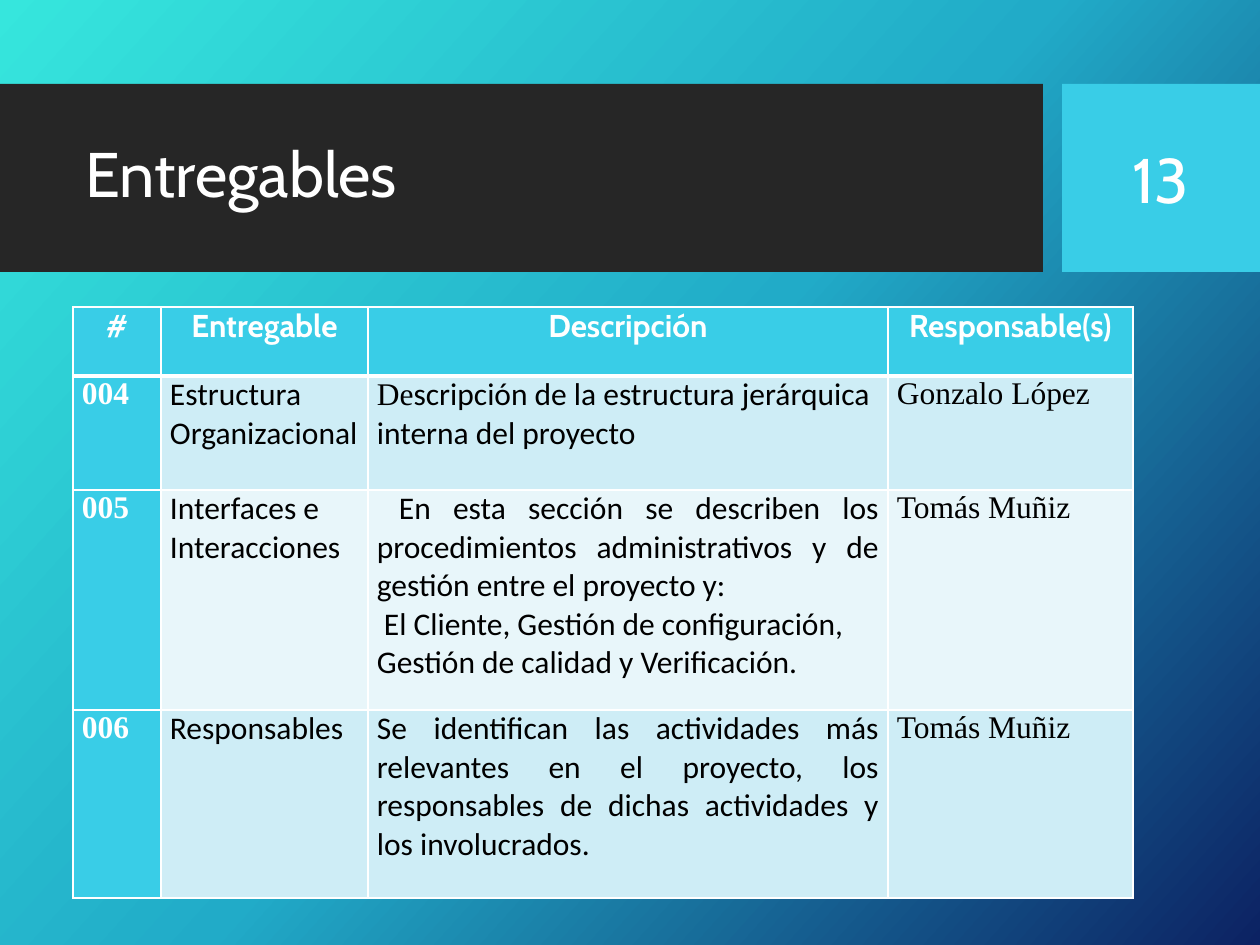
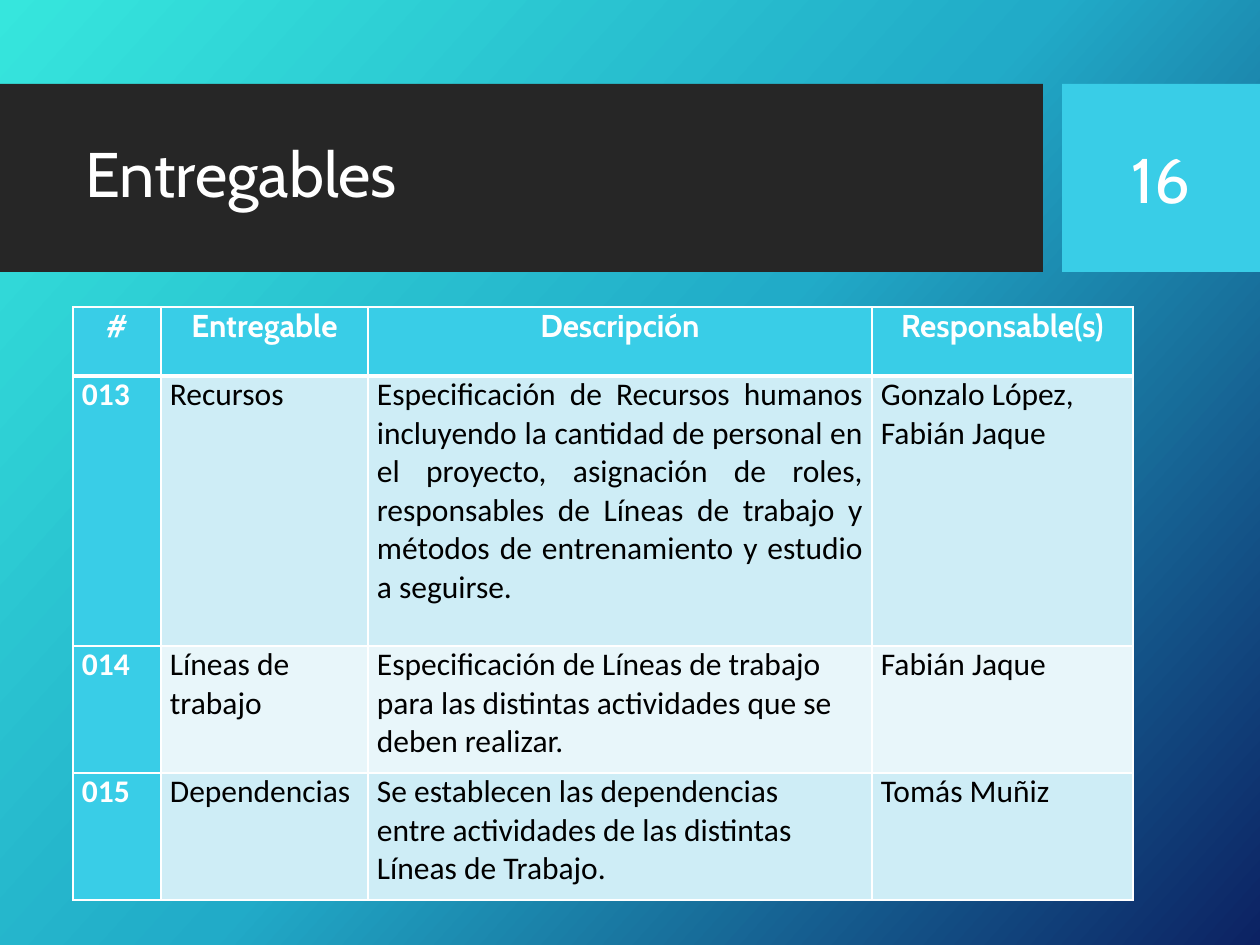
from copy import deepcopy
from dataclasses import dataclass

from lxml import etree
from pptx import Presentation
from pptx.dml.color import RGBColor
from pptx.enum.shapes import MSO_SHAPE
from pptx.enum.text import MSO_ANCHOR, PP_ALIGN
from pptx.oxml.ns import qn
from pptx.util import Emu, Pt

RECTANGLE = MSO_SHAPE.RECTANGLE
MIDDLE = MSO_ANCHOR.MIDDLE
LEFT, CENTER, JUSTIFY = PP_ALIGN.LEFT, PP_ALIGN.CENTER, PP_ALIGN.JUSTIFY

# Shared look
EMU_PER_PX = 914400 / 126
COLORS = {
    "white": "FFFFFF", "black": "000000", "band": "262626", "accent": "39CDE7",
    "odd_row": "CEEDF6", "even_row": "E8F6FA",
}
BACKGROUND_STOPS = ((0, "36E6DD"), (0.5, "21ABC8"), (1, "0C2263"))
BACKGROUND_ANGLE = 42
HEADING_FONT, BODY_FONT, SERIF_FONT = "Cabin", "Calibri", "Times New Roman"
HEADING_SIZE, TABLE_SIZE = 36, 18
TITLE = "Entregables"
HEADERS = ("#", "Entregable", "Descripción", "Responsable(s)")
CELL_INSET = 9


@dataclass(frozen=True)
class Box:
    left: int
    top: int
    width: int
    height: int

    def emu(self) -> tuple[Emu, ...]:
        return tuple(px(n) for n in (self.left, self.top, self.width, self.height))


@dataclass(frozen=True)
class Line:
    text: str
    align: PP_ALIGN = LEFT
    indent: int = 0
    serif_lead: str = ""


@dataclass(frozen=True)
class Deliverable:
    code: str
    name: str
    description: tuple[Line, ...]
    owner: str
    height: int
    right_inset: int = CELL_INSET


@dataclass(frozen=True)
class DeliverableSlide:
    number: str
    columns: tuple[int, ...]
    code_font: str
    owner_font: str
    deliverables: tuple[Deliverable, ...]


TITLE_BAND = Box(0, 84, 1043, 188)
NUMBER_BAND = Box(1062, 84, 198, 188)
TITLE_BOX = Box(73, 103, 950, 149)
NUMBER_BOX = Box(1081, 103, 160, 150)
TABLE_LEFT, TABLE_TOP, HEADER_HEIGHT = 73, 307, 69

# Contents
SLIDES = (
    DeliverableSlide("13", (88, 207, 520, 245), SERIF_FONT, SERIF_FONT, (
        Deliverable("004", "Estructura Organizacional", (
            Line("scripción de la estructura jerárquica interna del proyecto", serif_lead="De"),
        ), "Gonzalo López", 114),
        Deliverable("005", "Interfaces e Interacciones", (
            Line("En esta sección se describen los procedimientos administrativos y de "
                 "gestión entre el proyecto y:", JUSTIFY, 22),
            Line("El Cliente, Gestión de configuración, Gestión de calidad y Verificación.",
                 indent=7),
        ), "Tomás Muñiz", 220),
        Deliverable("006", "Responsables", (
            Line("Se identifican las actividades más relevantes en el proyecto, los "
                 "responsables de dichas actividades y los involucrados.", JUSTIFY),
        ), "Tomás Muñiz", 188),
    )),
    DeliverableSlide("16", (88, 207, 504, 261), BODY_FONT, BODY_FONT, (
        Deliverable("013", "Recursos", (
            Line("Especificación de Recursos humanos incluyendo la cantidad de personal en el "
                 "proyecto, asignación de roles, responsables de Líneas de trabajo y métodos "
                 "de entrenamiento y estudio a seguirse.", JUSTIFY),
        ), "Gonzalo López, Fabián Jaque", 270),
        Deliverable("014", "Líneas de trabajo", (
            Line("Especificación de Líneas de trabajo para las distintas actividades que se "
                 "deben realizar."),
        ), "Fabián Jaque", 127),
        Deliverable("015", "Dependencias", (
            Line("Se establecen las dependencias entre actividades de las distintas Líneas "
                 "de Trabajo."),
        ), "Tomás Muñiz", 127, right_inset=45),
    )),
)


def px(length: int) -> Emu:
    return Emu(round(length * EMU_PER_PX))


def color(name: str) -> RGBColor:
    return RGBColor.from_string(COLORS[name])


def style_font(font, name: str, size: int, color_name: str, bold: bool = False) -> None:
    font.name, font.size, font.bold = name, Pt(size), bold
    font.color.rgb = color(color_name)


# Frame shared by the slides
def paint_background(slide) -> None:
    fill = slide.background.fill
    fill.gradient()
    fill.gradient_angle = 360 - BACKGROUND_ANGLE
    stop_list = next(slide.background._cSld.iter(qn("a:gsLst")))
    stop_list.append(deepcopy(stop_list[-1]))
    for stop, (position, value) in zip(fill.gradient_stops, BACKGROUND_STOPS):
        stop.position = position
        stop.color.rgb = RGBColor.from_string(value)


def add_band(slide, box: Box, color_name: str) -> None:
    band = slide.shapes.add_shape(RECTANGLE, *box.emu())
    band.shadow.inherit = False
    band.fill.solid()
    band.fill.fore_color.rgb = color(color_name)
    band.line.fill.background()


def write_heading(shape, text: str, align: PP_ALIGN) -> None:
    frame = shape.text_frame
    frame.word_wrap = True
    frame.vertical_anchor = MIDDLE
    paragraph = frame.paragraphs[0]
    paragraph.text = text
    paragraph.alignment = align
    style_font(paragraph.font, HEADING_FONT, HEADING_SIZE, "white")


def add_frame(slide, number: str) -> None:
    paint_background(slide)
    add_band(slide, TITLE_BAND, "band")
    add_band(slide, NUMBER_BAND, "accent")
    title = slide.shapes.title
    title.left, title.top, title.width, title.height = TITLE_BOX.emu()
    write_heading(title, TITLE, LEFT)
    title.text_frame.paragraphs[0].line_spacing = 0.9
    write_heading(slide.shapes.add_textbox(*NUMBER_BOX.emu()), number, CENTER)


# Table
def set_borders(cell, top: int, bottom: int) -> None:
    properties = cell._tc.get_or_add_tcPr()
    for side, width in (("L", 1), ("R", 1), ("T", top), ("B", bottom)):
        border = etree.SubElement(properties, qn(f"a:ln{side}"), w=str(Pt(width)))
        fill = etree.SubElement(border, qn("a:solidFill"))
        etree.SubElement(fill, qn("a:srgbClr"), val=COLORS["white"])


def fill_cell(cell, lines: tuple[Line, ...], font_name: str, text_color: str, fill_color: str,
              bold: bool = False, right_inset: int = CELL_INSET) -> None:
    cell.margin_left, cell.margin_right = px(CELL_INSET), px(right_inset)
    cell.margin_top = cell.margin_bottom = 0
    cell.fill.solid()
    cell.fill.fore_color.rgb = color(fill_color)
    frame = cell.text_frame
    for index, line in enumerate(lines):
        paragraph = frame.add_paragraph() if index else frame.paragraphs[0]
        paragraph.alignment = line.align
        if line.indent:
            paragraph._p.get_or_add_pPr().set("indent", str(px(line.indent)))
        style_font(paragraph.font, font_name, TABLE_SIZE, text_color, bold)
        for text, run_font in ((line.serif_lead, SERIF_FONT), (line.text, font_name)):
            if text:
                run = paragraph.add_run()
                run.text = text
                style_font(run.font, run_font, TABLE_SIZE, text_color, bold)


def add_deliverables(slide, content: DeliverableSlide) -> None:
    heights = (HEADER_HEIGHT, *(item.height for item in content.deliverables))
    box = Box(TABLE_LEFT, TABLE_TOP, sum(content.columns), sum(heights))
    table = slide.shapes.add_table(len(heights), len(HEADERS), *box.emu()).table
    table.horz_banding = False
    for column, width in zip(table.columns, content.columns):
        column.width = px(width)
    for index, (row, height) in enumerate(zip(table.rows, heights)):
        row.height = px(height)
        for cell in row.cells:
            set_borders(cell, top=3 if index == 1 else 1, bottom=1 if index else 3)

    for column, header in enumerate(HEADERS):
        fill_cell(table.cell(0, column), (Line(header, CENTER),), HEADING_FONT,
                  "white", "accent", bold=True)
    for index, item in enumerate(content.deliverables, start=1):
        code, name, description, owner = table.rows[index].cells
        shade = "odd_row" if index % 2 else "even_row"
        fill_cell(code, (Line(item.code),), content.code_font, "white", "accent", bold=True)
        fill_cell(name, (Line(item.name),), BODY_FONT, "black", shade)
        fill_cell(description, item.description, BODY_FONT, "black", shade,
                  right_inset=item.right_inset)
        fill_cell(owner, (Line(item.owner),), content.owner_font, "black", shade)


def main() -> None:
    presentation = Presentation()
    presentation.slide_width, presentation.slide_height = px(1260), px(945)
    title_only = presentation.slide_layouts[5]
    for content in SLIDES:
        slide = presentation.slides.add_slide(title_only)
        add_frame(slide, content.number)
        # The title is drawn above the bands
        slide.shapes._spTree.append(slide.shapes.title._element)
        add_deliverables(slide, content)
    presentation.save("out.pptx")


if __name__ == "__main__":
    main()
